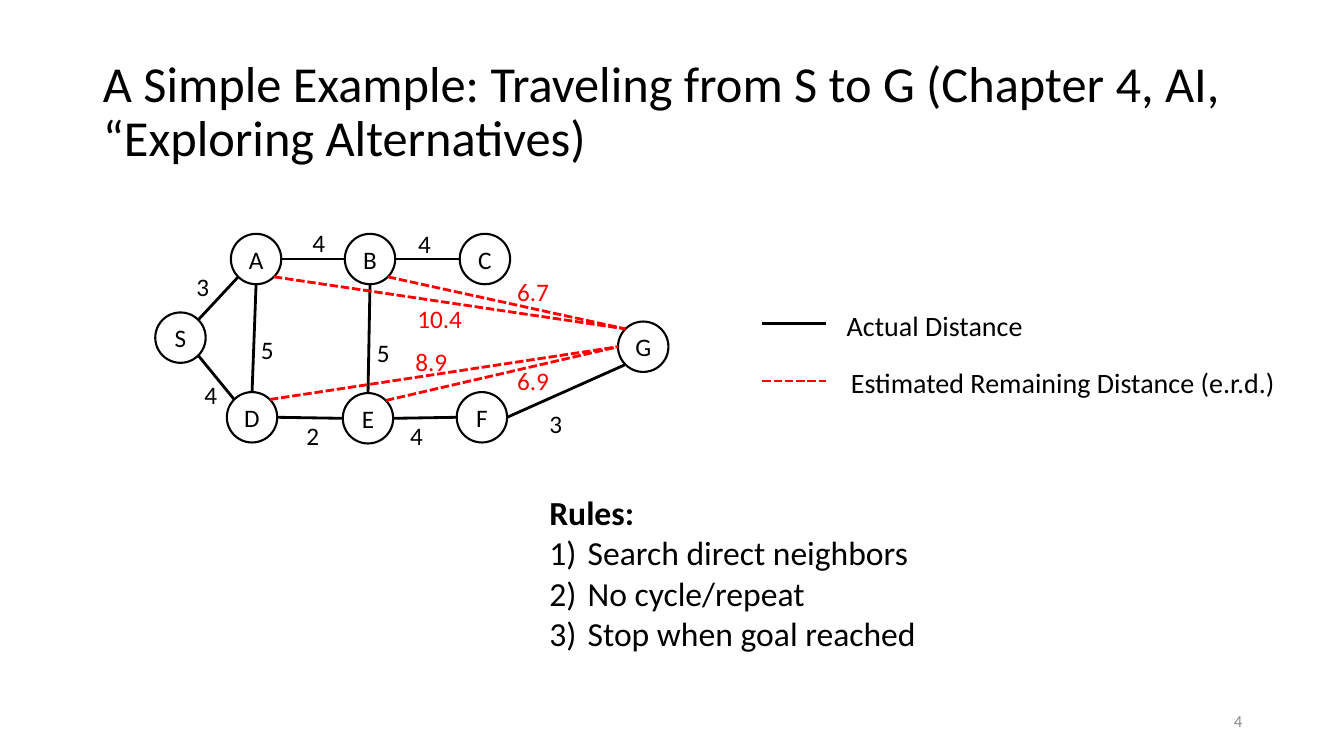
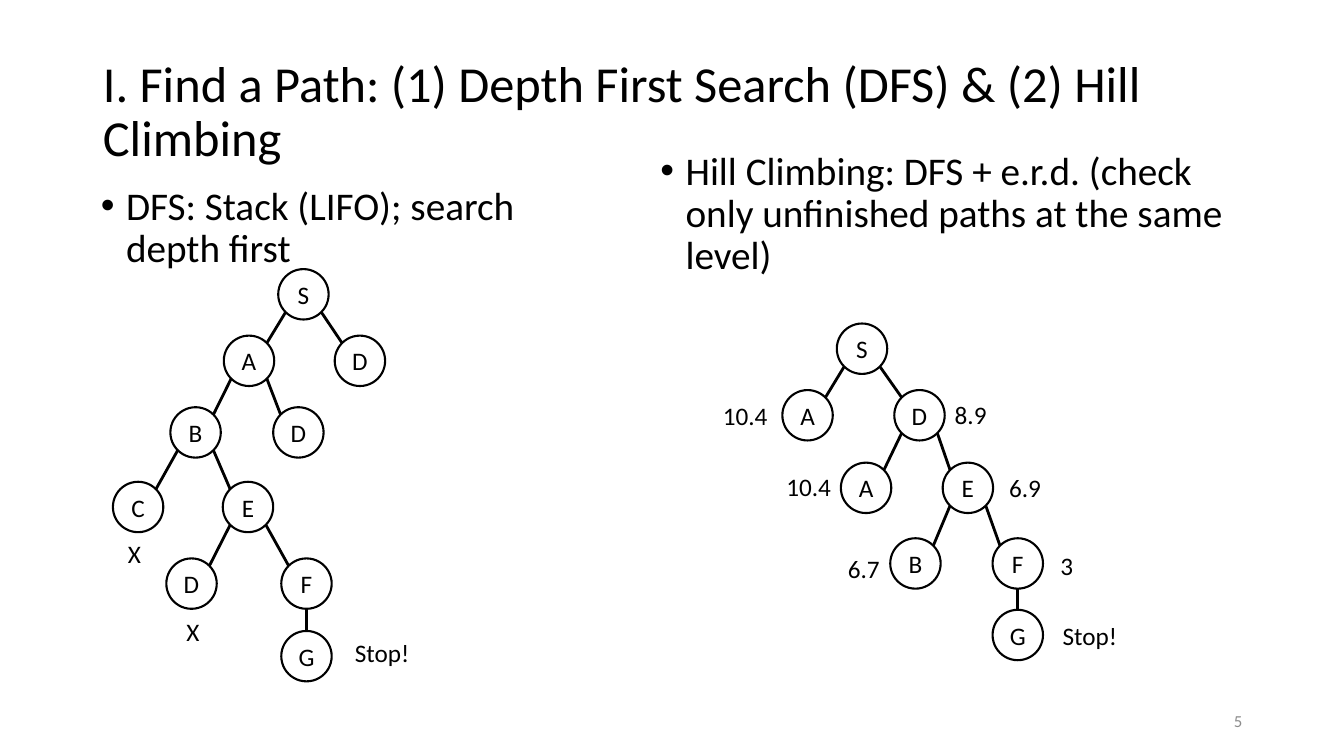
"""Build two slides on path search: a weighted graph, then two search trees."""
from math import cos, sin, radians
from lxml import etree
from pptx import Presentation, util as u
from pptx.dml.color import RGBColor
from pptx.enum import dml, shapes, text
from pptx.oxml.ns import qn

HUE = {"ink": "000000", "red": "FF0000", "gray": "8C8C8C"}
FONT = "Calibri"
CELL = u.Inches(0.5)
SITE = {"e": 0, "se": 45, "s": 90, "sw": 135, "w": 180, "nw": 225, "n": 270, "ne": 315}
WIDE = {1: 0.66, 3: 1.04, 4: 1.3, 5: 1.5}


def write(part, words, size, hue="ink", bold=False, side="LEFT"):
    """Add one run to the last paragraph of a shape and return the paragraph."""
    para = part.text_frame.paragraphs[-1]
    para.alignment = getattr(text.PP_ALIGN, side)
    run = para.add_run()
    run.text = words
    font = run.font
    font.name, font.size, font.bold = FONT, u.Pt(size), bold
    font.color.rgb = RGBColor.from_string(HUE[hue])
    return para


def line(page, start, end, hue):
    """Draw a straight line between two grid points; red ones are dashed."""
    ends = [int(n * CELL) for n in (*start, *end)]
    wire = page.shapes.add_connector(shapes.MSO_CONNECTOR.STRAIGHT, *ends)
    wire.line.width = u.Pt(2)
    wire.line.color.rgb = RGBColor.from_string(HUE[hue])
    if hue == "red":
        wire.line.dash_style = dml.MSO_LINE.SQUARE_DOT
    etree.SubElement(wire.element.spPr, qn("a:effectLst"))


graph = {"S": (3.08, 6.2), "A": (4.58, 4.64), "B": (6.84, 4.64), "C": (9.12, 4.64),
         "D": (4.5, 7.78), "E": (6.8, 7.8), "F": (9.06, 7.78), "G": (12.26, 6.38)}
roads = [("S", "ne", "A", "sw", "ink"), ("S", "se", "D", "nw", "ink"),
         ("A", "e", "B", "w", "ink"), ("B", "e", "C", "w", "ink"),
         ("D", "e", "E", "w", "ink"), ("E", "e", "F", "w", "ink"),
         ("D", "n", "A", "s", "ink"), ("E", "n", "B", "s", "ink"),
         ("F", "e", "G", "sw", "ink"), ("A", "se", "G", "nw", "red"),
         ("B", "se", "G", "nw", "red"), ("D", "ne", "G", "w", "red"),
         ("E", "ne", "G", "w", "red")]
costs = [("3", 3.7, 5.28, "ink"), ("4", 3.86, 7.42, "ink"), ("5", 4.98, 6.54, "ink"),
         ("5", 7.28, 6.6, "ink"), ("4", 6, 4.42, "ink"), ("4", 8.1, 4.44, "ink"),
         ("2", 5.88, 8.24, "ink"), ("4", 7.94, 8.24, "ink"), ("3", 10.7, 8, "ink"),
         ("6.7", 10.06, 5.38, "red"), ("10.4", 8.08, 5.92, "red"),
         ("8.9", 8.04, 6.78, "red"), ("6.9", 10.06, 7.16, "red")]

trees = {"S1": (5.52, 5.34), "A1": (4.44, 6.66), "D1": (6.64, 6.66), "B1": (3.38, 8.08),
         "D2": (5.42, 8.08), "C1": (2.24, 9.56), "E1": (4.42, 9.56), "D3": (3.3, 11.08),
         "F1": (5.58, 11.08), "G1": (5.58, 12.52),
         "S2": (16.6, 6.42), "A2": (15.52, 7.74), "D4": (17.74, 7.74), "A3": (16.68, 9.18),
         "E2": (18.7, 9.18), "B2": (17.66, 10.68), "F2": (19.69, 10.68), "G2": (19.69, 12.1)}
kids = {"S1": "A1 D1", "A1": "B1 D2", "B1": "C1 E1", "E1": "D3 F1", "F1": "G1",
        "S2": "A2 D4", "D4": "A3 E2", "E2": "B2 F2", "F2": "G2"}
twigs = []
for top, names in kids.items():
    for kid in names.split():
        gap = trees[kid][0] - trees[top][0]
        out, into = ("s", "n") if gap == 0 else ("sw", "ne") if gap < 0 else ("se", "nw")
        twigs.append((top, out, kid, into, "ink"))
notes = [("X", 2.34, 10.58, "ink"), ("X", 3.5, 12.14, "ink"), ("Stop!", 6.84, 12.54, "ink"),
         ("10.4", 14.14, 7.84, "ink"), ("8.9", 18.74, 7.82, "ink"),
         ("10.4", 15.4, 9.26, "ink"), ("6.9", 19.82, 9.28, "ink"),
         ("6.7", 16.62, 10.88, "ink"), ("3", 20.84, 10.82, "ink"),
         ("Stop!", 20.88, 12.22, "ink")]

deck = Presentation()
deck.slide_width, deck.slide_height = u.Inches(13.33), u.Inches(7.5)
plans = [
    (5, "A Simple Example: Traveling from S to G (Chapter 4, AI, “Exploring Alternatives)",
     graph, roads, costs),
    (3, "I. Find a Path: (1) Depth First Search (DFS) & (2) Hill Climbing",
     trees, twigs, notes)]

for num, (kind, head, nodes, links, tags) in enumerate(plans, 4):
    page = deck.slides.add_slide(deck.slide_layouts[kind])
    title = page.shapes.title
    title.left, title.top, title.width, title.height = [
        int(n * CELL) for n in (1.84, 0.8, 23, 2.9)]
    title.text_frame.vertical_anchor = text.MSO_ANCHOR.MIDDLE
    title.text_frame.auto_size = text.MSO_AUTO_SIZE.NONE
    write(title, head, 36).line_spacing = 0.9

    for name, (x, y) in nodes.items():
        node = page.shapes.add_shape(shapes.MSO_SHAPE.FLOWCHART_CONNECTOR,
                                     int(x * CELL), int(y * CELL), CELL, CELL)
        node.shadow.inherit = False
        node.fill.background()
        node.line.width = u.Pt(1.5)
        node.line.color.rgb = RGBColor.from_string(HUE["ink"])
        node.text_frame.vertical_anchor = text.MSO_ANCHOR.MIDDLE
        write(node, name[0], 18, side="CENTER")

    for one, out, two, into, hue in links:
        ends = [(nodes[n][0] + 0.5 + 0.5 * cos(radians(SITE[s])),
                 nodes[n][1] + 0.5 + 0.5 * sin(radians(SITE[s])))
                for n, s in ((one, out), (two, into))]
        line(page, *ends, hue)

    labels = [(word, x, y, WIDE[len(word)], 0.8, 18, hue) for word, x, y, hue in tags]
    if kind == 5:
        labels += [("Actual Distance", 16.6, 6.02, 3.94, 0.88, 20, "ink"),
                   ("Estimated Remaining Distance (e.r.d.)", 16.68, 7.16, 8.9, 0.88, 20, "ink")]
    for word, x, y, w, h, size, hue in labels:
        label = page.shapes.add_textbox(*[int(n * CELL) for n in (x, y, w, h)])
        label.text_frame.word_wrap = False
        label.text_frame.auto_size = text.MSO_AUTO_SIZE.SHAPE_TO_FIT_TEXT
        write(label, word, size, hue)

    foot = page.shapes.add_textbox(*[int(n * CELL) for n in (18.84, 13.9, 6, 0.8)])
    foot.text_frame.word_wrap = True
    foot.text_frame.vertical_anchor = text.MSO_ANCHOR.MIDDLE
    write(foot, str(num), 12, "gray", side="RIGHT")

first, second = deck.slides
for y, hue in ((6.42, "ink"), (7.56, "red")):
    line(first, (15.12, y), (16.38, y), hue)

rules = first.shapes.add_textbox(*[int(n * CELL) for n in (10.7, 9.66, 7.84, 3.44)])
rules.text_frame.word_wrap = False
write(rules, "Rules:", 24, bold=True)
for rule in ("Search direct neighbors", "No cycle/repeat", "Stop when goal reached"):
    rules.text_frame.add_paragraph()
    props = write(rules, rule, 24)._p.get_or_add_pPr()
    props.set("marL", str(u.Inches(0.38)))
    props.set("indent", str(-u.Inches(0.38)))
    etree.SubElement(props, qn("a:buFont"), typeface="+mj-lt")
    etree.SubElement(props, qn("a:buAutoNum"), type="arabicParenR")

for slot in list(second.placeholders)[3:]:
    slot.element.getparent().remove(slot.element)
points = [("DFS: Stack (LIFO); search depth first", (1.8, 3.6, 8.74, 9.52)),
          ("Hill Climbing: DFS + e.r.d. (check only unfinished paths at the same level)",
           (12.9, 2.9, 11.56, 9.52))]
for slot, (words, area) in zip(list(second.placeholders)[1:], points):
    slot.left, slot.top, slot.width, slot.height = [int(n * CELL) for n in area]
    slot.text_frame.auto_size = text.MSO_AUTO_SIZE.NONE
    para = write(slot, words, 28)
    para.line_spacing, para.space_before = 0.9, u.Pt(10)
    props = para._p.get_or_add_pPr()
    props.set("marL", str(u.Inches(0.25)))
    props.set("indent", str(-u.Inches(0.25)))

deck.save("out.pptx")
